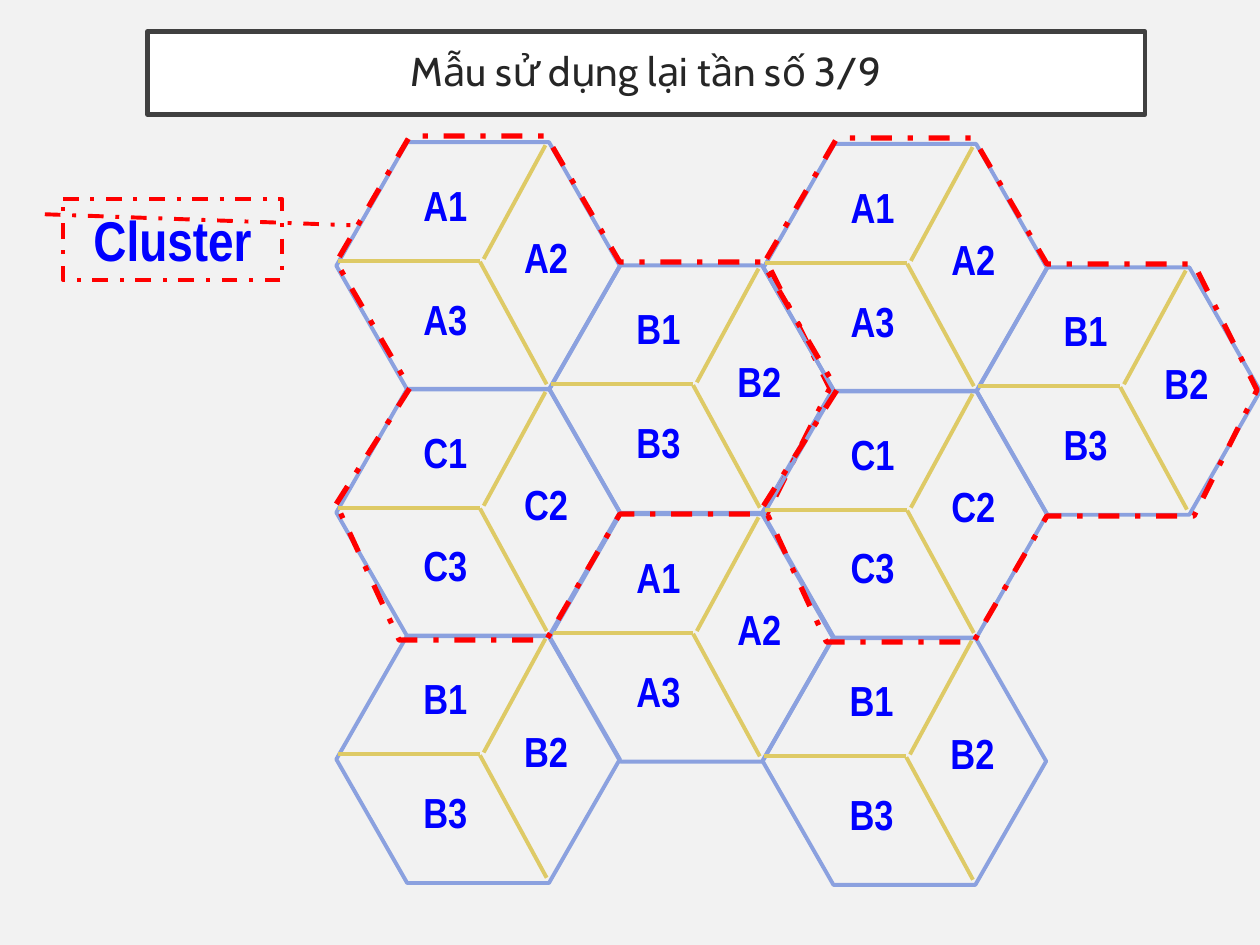
from dataclasses import dataclass

from lxml import etree
from pptx import Presentation
from pptx.dml.color import RGBColor
from pptx.enum import dml, shapes, text
from pptx.oxml import ns
from pptx.util import Pt


@dataclass(frozen=True)
class Theme:
    background: str = "F2F2F2"
    panel: str = "FFFFFF"
    frame: str = "404040"
    title_ink: str = "262626"
    label_ink: str = "0000FF"
    cell: str = "8BA1DF"
    sector: str = "DECA66"
    cluster: str = "FF0000"
    title_font: str = "Cabin"
    label_font: str = "Arial Narrow"
    title_size: float = 23
    callout_size: float = 32
    label_size: float = 24
    thin: float = 2.25
    panel_line: float = 2.5
    thick: float = 3


theme = Theme()


def write(frame, words, font, size, ink, bold):
    paragraph = frame.paragraphs[0]
    paragraph.alignment = text.PP_ALIGN.CENTER
    run = paragraph.add_run()
    run.text = words
    run.font.name = font
    run.font.size = Pt(size)
    run.font.bold = bold
    run.font.color.rgb = RGBColor.from_string(ink)
    return paragraph


def trace(area, x, y, corners, ink, width):
    points = [(Pt(x + dx), Pt(y + dy)) for dx, dy in corners]
    builder = area.build_freeform(*points[0], scale=1.0)
    builder.add_line_segments(points[1:], close=True)
    ring = builder.convert_to_shape()
    ring.shadow.inherit = False
    ring.fill.background()
    ring.line.color.rgb = RGBColor.from_string(ink)
    ring.line.width = Pt(width)
    return ring


deck = Presentation()
deck.slide_width, deck.slide_height = Pt(720), Pt(540)
slide = deck.slides.add_slide(deck.slide_layouts[6])
slide.background.fill.solid()
slide.background.fill.fore_color.rgb = RGBColor.from_string(theme.background)

title = slide.shapes.add_shape(
    shapes.MSO_SHAPE.RECTANGLE, Pt(84.2), Pt(18), Pt(570.2), Pt(47.5))
title.shadow.inherit = False
title.fill.solid()
title.fill.fore_color.rgb = RGBColor.from_string(theme.panel)
title.line.color.rgb = RGBColor.from_string(theme.frame)
title.line.width = Pt(theme.panel_line)
heading = title.text_frame
heading.word_wrap = True
heading.vertical_anchor = text.MSO_ANCHOR.MIDDLE
heading.margin_left = heading.margin_right = Pt(14.4)
heading.margin_top = heading.margin_bottom = Pt(14.4)
write(heading, "Mẫu sử dụng lại tần số 3/9", theme.title_font,
      theme.title_size, theme.title_ink, False).line_spacing = 0.9

callout = slide.shapes.add_shape(
    shapes.MSO_SHAPE.LINE_CALLOUT_1, Pt(36), Pt(113.8), Pt(125.3), Pt(46.1))
for index, share in enumerate((0.188, -0.083, 0.324, 1.311)):
    callout.adjustments[index] = share
callout.shadow.inherit = False
callout.fill.background()
callout.line.color.rgb = RGBColor.from_string(theme.cluster)
callout.line.width = Pt(theme.thin)
callout.line.dash_style = dml.MSO_LINE.DASH_DOT
callout.text_frame.word_wrap = True
callout.text_frame.vertical_anchor = text.MSO_ANCHOR.TOP
write(callout.text_frame, "Cluster", theme.label_font,
      theme.callout_size, theme.label_ink, True)

COLUMN_STEP, ROW_STEP = 121.8, 70.5
HEXAGON = [(40.5, 0), (0, 70.7), (40.5, 141.4),
           (121.5, 141.4), (162, 70.7), (121.5, 0)]
SECTOR_LINES = [(84.2, 66.8, 119.5, 1.8), (0.7, 67.9, 82.1, 67.9),
                (82.1, 68.4, 120.2, 138.4)]
LABEL_SPOTS = [(38.2, 17.8), (95.8, 47.7), (38.2, 82.8)]
BORDER = [(0, 210.2), (42, 144), (0, 72), (42, 0), (120, 0), (162, 72),
          (246, 72), (282, 144), (246, 216), (162, 216), (120, 288), (36, 288)]

full_cluster = [("A", 0, 0), ("B", 1, 1), ("C", 0, 2)]
regions = [
    (192.2, 82.3, [("A", 1, 3), ("B", 2, 4)], False),
    (192.2, 81.2, [("B", 0, 4)], False),
    (192.2, 81.2, full_cluster, True),
    (436.3, 82.3, full_cluster, True),
]

for left, top, cells, bordered in regions:
    region = slide.shapes.add_group_shape().shapes
    for letter, column, row in cells:
        x, y = left + column * COLUMN_STEP, top + row * ROW_STEP
        trace(region, x, y, HEXAGON, theme.cell, theme.thin)
        for x1, y1, x2, y2 in SECTOR_LINES:
            divider = region.add_connector(
                shapes.MSO_CONNECTOR.STRAIGHT,
                Pt(x + x1), Pt(y + y1), Pt(x + x2), Pt(y + y2))
            divider.line.color.rgb = RGBColor.from_string(theme.sector)
            divider.line.width = Pt(theme.thin)
            etree.SubElement(divider._element.spPr, ns.qn("a:effectLst"))
        for number, (dx, dy) in enumerate(LABEL_SPOTS, start=1):
            label = region.add_textbox(Pt(x + dx), Pt(y + dy), Pt(48.2), Pt(36))
            label.text_frame.word_wrap = True
            write(label.text_frame, f"{letter}{number}", theme.label_font,
                  theme.label_size, theme.label_ink, True)
    if bordered:
        border = trace(region, left, top - 3.4, BORDER, theme.cluster, theme.thick)
        border.line.dash_style = dml.MSO_LINE.DASH_DOT

deck.save("out.pptx")
